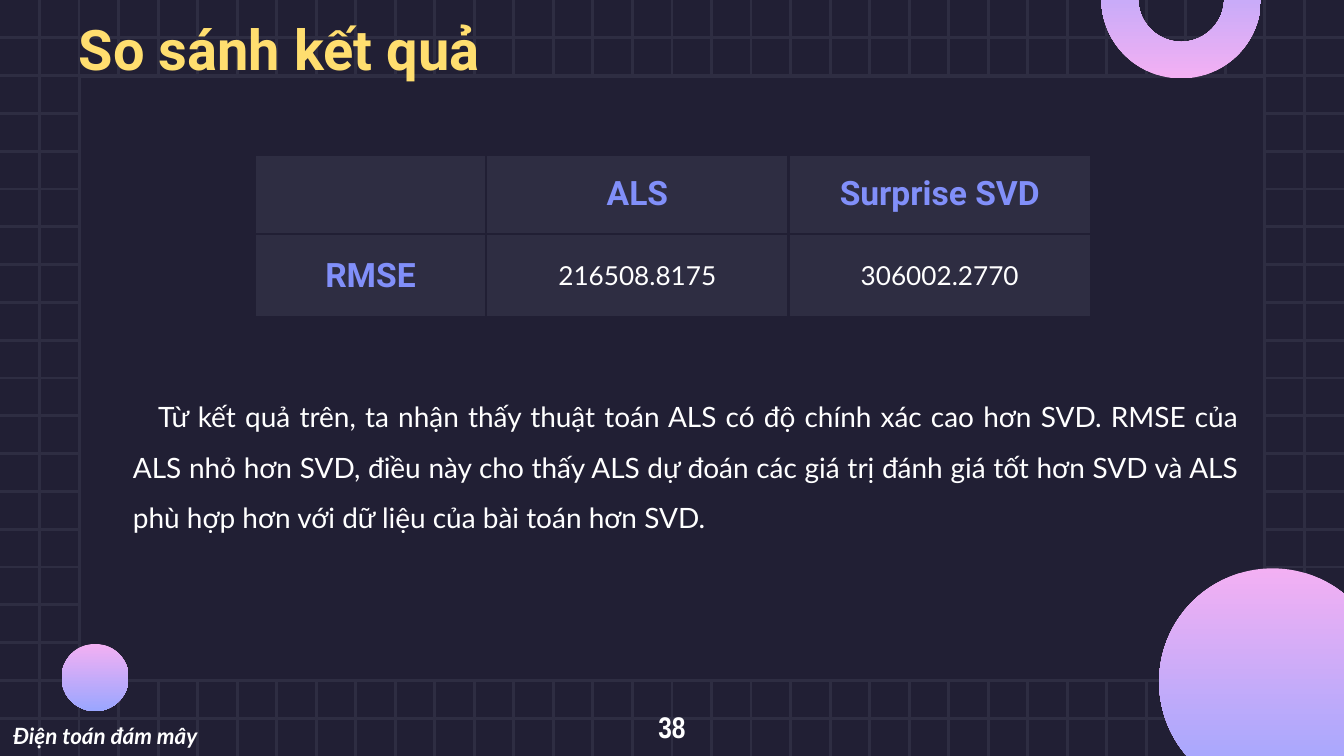
import pptx
import pptx.util
import pptx.dml.color
import pptx.enum.shapes
import pptx.enum.text
import pptx.oxml
import pptx.oxml.ns
import lxml.etree

Pt = pptx.util.Pt
RGBColor = pptx.dml.color.RGBColor
Kind = pptx.enum.shapes.MSO_SHAPE
Align = pptx.enum.text.PP_ALIGN
Anchor = pptx.enum.text.MSO_ANCHOR
Fit = pptx.enum.text.MSO_AUTO_SIZE
qn = pptx.oxml.ns.qn

NIGHT = RGBColor(0x21, 0x1F, 0x34)
SLATE = RGBColor(0x2E, 0x2D, 0x42)
PINK = RGBColor(0xF3, 0xB0, 0xF3)
LILAC = RGBColor(0x9A, 0xA6, 0xFF)
GOLD = RGBColor(0xFF, 0xDE, 0x6F)
BLUE = RGBColor(0x81, 0x8F, 0xF9)
WHITE = RGBColor(0xFF, 0xFF, 0xFF)
WIDE, HIGH = 720, 405
EDGE = 1.5


def write(frame, text, size, font="Lato", color=WHITE, bold=False, italic=False,
          align=Align.JUSTIFY, space=1.0, indent=None):
    """Put one formatted paragraph in a text frame."""
    frame.word_wrap = True
    par = frame.paragraphs[0]
    par.text = text
    par.alignment = align
    par.line_spacing = space
    par.space_before = Pt(0)
    if indent is not None:
        props = par._p.get_or_add_pPr()
        props.set("marL", "0")
        props.set("indent", str(Pt(indent)))
        lxml.etree.SubElement(props, qn("a:buNone"))
    face = par.runs[0].font
    face.name, face.size, face.color.rgb = font, Pt(size), color
    face.bold, face.italic = bold, italic


def rule(shapes, *ends):
    """Draw one straight grid line."""
    line = shapes.add_connector(pptx.enum.shapes.MSO_CONNECTOR.STRAIGHT, *map(Pt, ends))
    line.line.color.rgb = SLATE
    line.line.width = Pt(EDGE)
    lxml.etree.SubElement(line.element.spPr, qn("a:effectLst"))


def grid(shapes):
    """Draw the grid and the plain panel over its middle."""
    for row in range(1, 20):
        y = row * HIGH / 20
        rule(shapes, 0, y, WIDE, y)
    for col in range(1, 34):
        x = col * WIDE / 34
        rule(shapes, x, 0, x, HIGH)
    panel = shapes.add_shape(Kind.RECTANGLE, Pt(42.5), Pt(41), Pt(635), Pt(323.5))
    panel.shadow.inherit = False
    panel.fill.solid()
    panel.fill.fore_color.rgb = NIGHT
    panel.line.color.rgb = SLATE
    panel.line.width = Pt(EDGE)


def round_shape(shapes, kind, left, top, size):
    """Add a round shape that fades from pink to lilac."""
    shape = shapes.add_shape(kind, Pt(left), Pt(top), Pt(size), Pt(size))
    shape.shadow.inherit = False
    shape.line.fill.background()
    shape.fill.gradient()
    shape.fill.gradient_angle = 270
    for stop, color, place in zip(shape.fill.gradient_stops, (PINK, LILAC), (0, 1)):
        stop.color.rgb = color
        stop.position = place
    return shape


def holder(shape, left, top, width, height, anchor):
    """Place a placeholder in front with even insets."""
    shape.left, shape.top, shape.width, shape.height = map(Pt, (left, top, width, height))
    frame = shape.text_frame
    frame.auto_size = Fit.NONE
    frame.vertical_anchor = anchor
    frame.margin_left = frame.margin_right = Pt(7.2)
    frame.margin_top = frame.margin_bottom = Pt(7.2)
    shape.element.getparent().append(shape.element)
    return frame


def label(shapes, left, top, width, height):
    """Add a text box and return its frame."""
    return shapes.add_textbox(*map(Pt, (left, top, width, height))).text_frame


def border(cell):
    """Give a cell dark borders on all sides."""
    props = cell._tc.get_or_add_tcPr()
    for side in ("lnL", "lnR", "lnT", "lnB"):
        line = lxml.etree.SubElement(props, qn("a:" + side), w=str(Pt(EDGE)))
        fill = lxml.etree.SubElement(line, qn("a:solidFill"))
        lxml.etree.SubElement(fill, qn("a:srgbClr"), val=str(NIGHT))


def scores(shapes):
    """Add the table of results."""
    rows = [("", "ALS", "Surprise SVD"), ("RMSE", "216508.8175", "306002.2770")]
    table = shapes.add_table(2, 3, Pt(136.5), Pt(83), Pt(448), Pt(87)).table
    for col, width in zip(table.columns, (124, 162, 162)):
        col.width = Pt(width)
    for row, height in zip(table.rows, (42.5, 44.5)):
        row.height = Pt(height)
    for r, row in enumerate(rows):
        for c, text in enumerate(row):
            cell = table.cell(r, c)
            border(cell)
            cell.fill.solid()
            cell.fill.fore_color.rgb = SLATE
            cell.vertical_anchor = Anchor.MIDDLE
            cell.margin_top = cell.margin_bottom = Pt(5)
            if text and r and c:
                write(cell.text_frame, text, 14, align=Align.CENTER)
            elif text:
                write(cell.text_frame, text, 18, font="Roboto", color=BLUE,
                      bold=True, align=Align.CENTER)


def main():
    """Build and save the slide."""
    deck = pptx.Presentation()
    deck.slide_width, deck.slide_height = Pt(WIDE), Pt(HIGH)
    slide = deck.slides.add_slide(deck.slide_layouts[1])
    slide.background.fill.solid()
    slide.background.fill.fore_color.rgb = NIGHT
    shapes = slide.shapes

    grid(shapes)
    round_shape(shapes, Kind.OVAL, 33, 345, 36)
    round_shape(shapes, Kind.OVAL, 621, 304.5, 121.5)
    arc = round_shape(shapes, Kind.BLOCK_ARC, 590, -43.5, 85.5)
    arc.rotation = 180
    for spot, value in enumerate((108, 0.36, 0.23)):
        arc.adjustments[spot] = value

    title = holder(shapes.title, 35, 7.5, 607, 36, Anchor.MIDDLE)
    write(title, "So sánh kết quả", 30, font="Roboto", color=GOLD, bold=True)
    body = holder(slide.placeholders[1], 64, 198, 607, 121, Anchor.TOP)
    write(body, "Từ kết quả trên, ta nhận thấy thuật toán ALS có độ chính xác cao hơn SVD. "
          "RMSE của ALS nhỏ hơn SVD, điều này cho thấy ALS dự đoán các giá trị đánh giá "
          "tốt hơn SVD và ALS phù hợp hơn với dữ liệu của bài toán hơn SVD.",
          15, space=1.5, indent=13.5)

    foot = label(shapes, 0, 377.5, 236, 26)
    foot.vertical_anchor = Anchor.MIDDLE
    foot.auto_size = Fit.SHAPE_TO_FIT_TEXT
    write(foot, "Điện toán đám mây", 12, bold=True, italic=True, space=1.5)
    write(label(shapes, 342, 376, 36, 29), "38", 16, font="Arial Narrow",
          bold=True, align=Align.CENTER)
    scores(shapes)
    deck.save("out.pptx")


if __name__ == "__main__":
    main()
